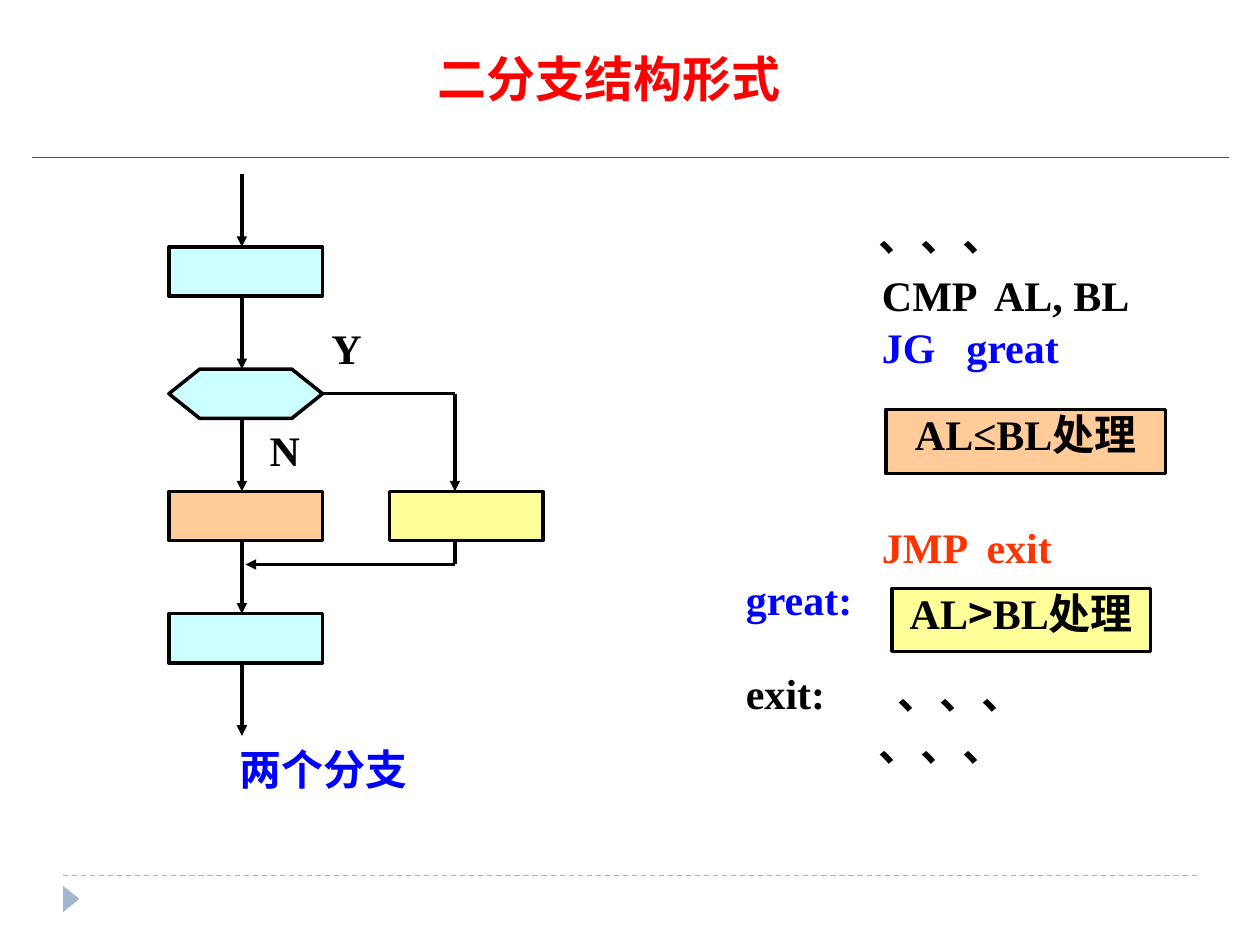
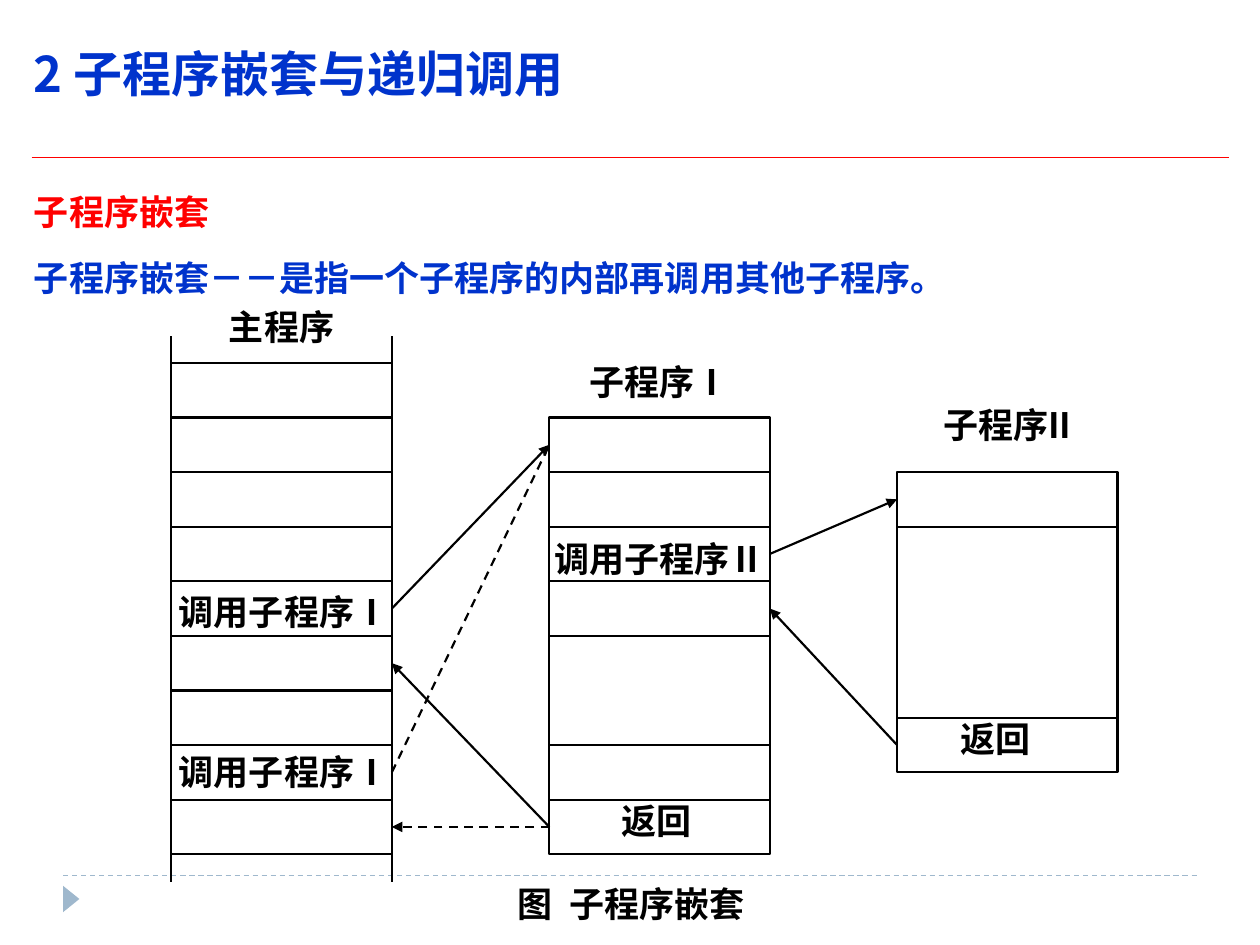
import pptx
import pptx.dml.color
import pptx.enum.dml
import pptx.enum.shapes
import pptx.enum.text
import pptx.oxml
import pptx.oxml.ns
import pptx.util
from lxml import etree

Inches = pptx.util.Inches
RGBColor = pptx.dml.color.RGBColor
Shape = pptx.enum.shapes.MSO_SHAPE
Align = pptx.enum.text.PP_ALIGN
qn = pptx.oxml.ns.qn

BLACK = RGBColor(0x00, 0x00, 0x00)
WHITE = RGBColor(0xFF, 0xFF, 0xFF)
RED = RGBColor(0xFF, 0x00, 0x00)
ORANGE_RED = RGBColor(0xFF, 0x33, 0x00)
BLUE = RGBColor(0x00, 0x00, 0xFF)
DEEP_BLUE = RGBColor(0x00, 0x33, 0xCC)
FOOTER_BLUE = RGBColor(0x9F, 0xB8, 0xCD)
CYAN = RGBColor(0xCC, 0xFF, 0xFF)
PEACH = RGBColor(0xFF, 0xCC, 0x99)
YELLOW = RGBColor(0xFF, 0xFF, 0x99)

SERIF = "Times New Roman"
SANS = "Noto Sans CJK SC"


class SlideBuilder:
    """Holds the text style and the slide being drawn."""

    def __init__(self, deck):
        self.deck = deck
        self.page = None
        self.font, self.size, self.weight = SERIF, 24, 2

    def new_page(self, font, size, weight):
        self.page = self.deck.slides.add_slide(self.deck.slide_layouts[6])
        self.font, self.size, self.weight = font, size, weight
        # Shared rules and footer mark
        self.line((0.5, 6.95), (9.5, 6.95), FOOTER_BLUE, 0.75, dash=True)
        mark = self.box(0.46, 7.07, 0.21, 0.13, FOOTER_BLUE,
                        Shape.ISOSCELES_TRIANGLE, outlined=False)
        mark.rotation = 90
        self.line((0.25, 1.25), (9.75, 1.25), RED, 0.75)

    def line(self, start, end, color=BLACK, weight=None, dash=False, arrow=False):
        line = self.page.shapes.add_connector(
            pptx.enum.shapes.MSO_CONNECTOR.STRAIGHT,
            *(Inches(value) for value in (*start, *end)))
        line.line.color.rgb = color
        line.line.width = pptx.util.Pt(weight or self.weight)
        if dash:
            line.line.dash_style = pptx.enum.dml.MSO_LINE.DASH
        properties = line._element.spPr
        if arrow:
            etree.SubElement(properties.find(qn("a:ln")), qn("a:tailEnd"), type="triangle")
        etree.SubElement(properties, qn("a:effectLst"))

    def box(self, left, top, width, height, fill, kind=Shape.RECTANGLE, outlined=True):
        box = self.page.shapes.add_shape(
            kind, Inches(left), Inches(top), Inches(width), Inches(height))
        box.shadow.inherit = False
        box.fill.solid()
        box.fill.fore_color.rgb = fill
        if outlined:
            box.line.color.rgb = BLACK
            box.line.width = pptx.util.Pt(self.weight)
        else:
            box.line.fill.background()
        return box

    def set_text(self, shape, text, color=BLACK, size=None, align=Align.LEFT, tab=None, lift=0):
        """Fill a shape with one line, centred vertically."""
        frame = shape.text_frame
        frame.word_wrap = True
        frame.vertical_anchor = pptx.enum.text.MSO_ANCHOR.MIDDLE
        frame.margin_left = frame.margin_right = frame.margin_top = 0
        frame.margin_bottom = Inches(lift)
        para = frame.paragraphs[0]
        para.text = text
        para.alignment = align
        para.font.name = self.font
        para.font.size = pptx.util.Pt(size or self.size)
        para.font.bold = True
        para.font.color.rgb = color
        properties = para._p.get_or_add_pPr()
        defaults = properties.find(qn("a:defRPr"))
        etree.SubElement(defaults, qn("a:ea"), typeface=SANS)
        if tab:
            stops = etree.Element(qn("a:tabLst"))
            etree.SubElement(stops, qn("a:tab"), pos=str(Inches(tab)), algn="l")
            defaults.addprevious(stops)
        return para

    def label(self, left, middle, width, text, color=BLACK, **style):
        height = 0.4
        box = self.page.shapes.add_textbox(
            Inches(left), Inches(middle - height / 2), Inches(width), Inches(height))
        return self.set_text(box, text, color, **style)


def draw_branch_page(builder):
    builder.new_page(SERIF, 24, weight=2)
    builder.label(2.67, 0.62, 4.33, "二分支结构形式", RED, size=28, align=Align.CENTER)

    # Flowchart: four steps down the main axis, one side branch
    axis, branch, first, pitch, gap = 1.92, 3.61, 1.96, 0.97, 0.58
    width, height = 1.22, 0.39
    steps = [(CYAN, Shape.RECTANGLE), (CYAN, Shape.FLOWCHART_PREPARATION),
             (PEACH, Shape.FLOWCHART_PROCESS), (CYAN, Shape.RECTANGLE)]
    tops = [first + pitch * row for row in range(len(steps) + 1)]
    for top, (fill, kind) in zip(tops, steps):
        builder.box(1.34, top, width, height, fill, kind)
    builder.box(3.09, tops[2], width, height, YELLOW)
    for top in tops:
        builder.line((axis, top - gap), (axis, top), arrow=True)
    test, merge = tops[1] + height / 2, 4.48
    builder.line((2.56, test), (branch, test))
    builder.line((branch, test), (branch, tops[2]), arrow=True)
    builder.line((branch, tops[2] + height), (branch, merge))
    builder.line((branch, merge), (1.95, merge), arrow=True)
    builder.label(2.63, 2.76, 0.57, "Y")
    builder.label(2.14, 3.57, 0.86, "N")
    builder.label(1.9, 6.1, 2.22, "两个分支", BLUE)

    # Assembly listing
    labels, code = 5.92, 7.0
    for left, middle, text, color, tab in [
            (6.97, 1.86, "、、、", BLACK, None),
            (code, 2.34, "CMP\tAL, BL", BLACK, 0.89),
            (code, 2.75, "JG\tgreat", BLUE, 0.67),
            (code, 4.34, "JMP\texit", ORANGE_RED, 0.83),
            (labels, 4.75, "great:", BLUE, None),
            (labels, 5.5, "exit:\t、、、", BLACK, 1.2),
            (6.97, 5.91, "、、、", BLACK, None)]:
        builder.label(left, middle, 2.4, text, color, tab=tab)
    lower = builder.box(7.03, 3.25, 2.22, 0.51, PEACH)
    builder.set_text(lower, "AL≤BL处理", align=Align.CENTER, lift=0.12)
    greater = builder.box(7.08, 4.67, 2.05, 0.5, YELLOW)
    para = builder.set_text(greater, "AL", align=Align.CENTER, lift=0.12)
    sign = para.add_run()
    sign.text = ">"
    sign.font.name = SANS
    para.add_run().text = "BL处理"


def draw_nesting_page(builder):
    builder.new_page(SANS, 20, weight=1.25)
    builder.label(0.27, 0.58, 9, "2 子程序嵌套与递归调用", DEEP_BLUE, size=28)
    builder.label(0.27, 1.68, 9, "子程序嵌套", RED)
    builder.label(0.27, 2.2, 9, "子程序嵌套－－是指一个子程序的内部再调用其他子程序。", DEEP_BLUE)

    width = 1.75
    main_left, first, second = 1.36, 4.36, 7.12
    top_rung, bottom_rung, spaces = 2.88, 6.78, 9

    def rung(row):
        return top_rung + (bottom_rung - top_rung) / spaces * row

    # Program blocks
    for side in (main_left, main_left + width):
        builder.line((side, 2.67), (side, 7))
    for left, top, bottom in [(first, 1, 9), (second, 2, 7.5)]:
        builder.box(left, rung(top), width, rung(bottom) - rung(top), WHITE)
    for left, rows in [(main_left, range(10)), (first, (2, 3, 4, 5, 7, 8)),
                       (second, (3, 6.5))]:
        for row in rows:
            builder.line((left, rung(row)), (left + width, rung(row)))

    # Captions and instructions
    for left, middle, text in [(main_left, 2.59, "主程序"), (first, 3.03, "子程序Ⅰ"),
                               (second, 3.37, "子程序II")]:
        builder.label(left, middle, width, text, align=Align.CENTER)
    for left, middle, text in [(1.42, 4.85, "调用子程序Ⅰ"), (1.42, 6.12, "调用子程序Ⅰ"),
                               (4.4, 4.43, "调用子程序Ⅱ"), (4.93, 6.51, "返回"),
                               (7.62, 5.86, "返回")]:
        builder.label(left, middle, 1.9, text)
    builder.label(4.11, 7.17, 2.5, "图\t子程序嵌套", tab=0.41)

    # Calls and returns
    main_edge, first_edge = main_left + width, first + width
    for start, start_row, end, end_row, dash, arrow in [
            (first, 8.5, main_edge, 5.5, False, True),
            (main_edge, 4.5, first, 1.5, False, True),
            (main_edge, 7.5, first, 1.5, True, False),
            (first, 8.5, main_edge, 8.5, True, True),
            (first_edge, 3.5, second, 2.5, False, True),
            (second, 7, first_edge, 4.5, False, True)]:
        builder.line((start, rung(start_row)), (end, rung(end_row)), dash=dash, arrow=arrow)


def main():
    deck = pptx.Presentation()
    deck.slide_width, deck.slide_height = Inches(10), Inches(7.5)
    builder = SlideBuilder(deck)
    draw_branch_page(builder)
    draw_nesting_page(builder)
    deck.save("out.pptx")


if __name__ == "__main__":
    main()
